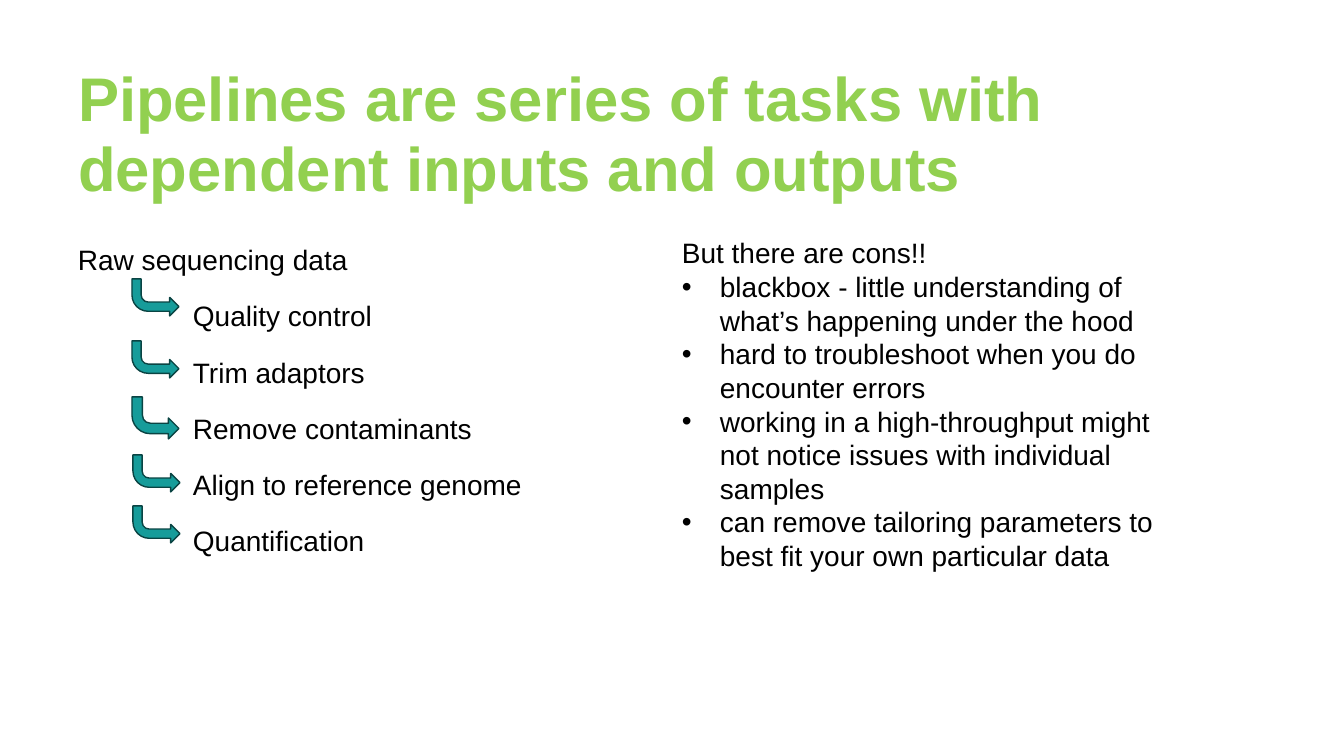
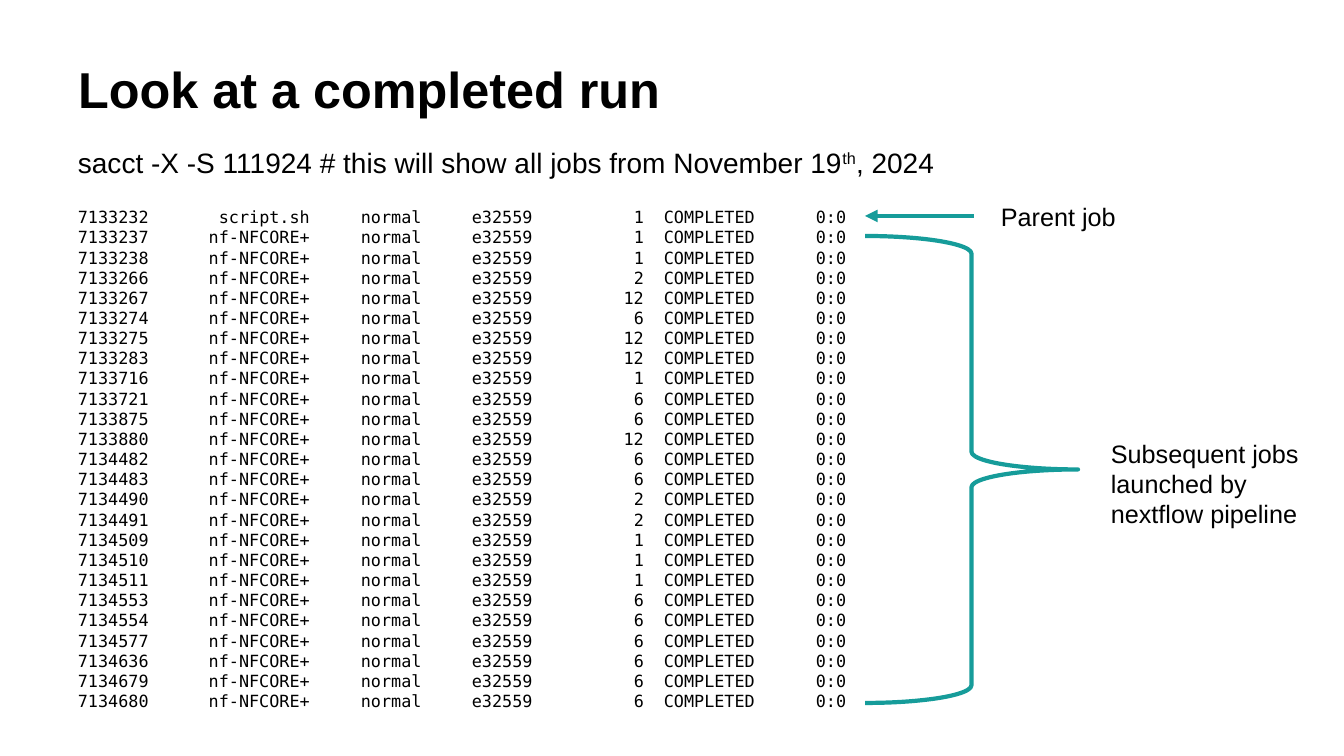
from lxml import etree
from pptx import Presentation
from pptx.dml.color import RGBColor
from pptx.enum.shapes import MSO_CONNECTOR, MSO_SHAPE
from pptx.enum.text import MSO_ANCHOR, MSO_AUTO_SIZE, PP_ALIGN
from pptx.oxml.ns import qn
from pptx.util import Emu, Pt

# Shared style
TEAL, DARK_TEAL = "169C9A", "0A4443"
GREEN, BLACK = "92D050", "000000"
SANS, MONO = "Arial", "DejaVu Sans Mono"
SLIDE_W, SLIDE_H = 1344, 756
EMU_PER_PX = 12192000 / SLIDE_W
MARGIN, CONTENT_W = 68, 1174


def px(length):
    return Emu(round(length * EMU_PER_PX))


def rgb(hex_color):
    return RGBColor.from_string(hex_color)


class Deck:
    """Holds the style and the slide being built."""

    def __init__(self):
        self.prs = Presentation()
        self.prs.slide_width, self.prs.slide_height = px(SLIDE_W), px(SLIDE_H)
        self.slide = None

    def add_slide(self, title, size, color, spacing=0.9):
        self.slide = self.prs.slides.add_slide(self.prs.slide_layouts[5])
        heading = self.slide.shapes.title
        heading.left, heading.top = px(MARGIN), px(60)
        heading.width, heading.height = px(CONTENT_W), px(125)
        frame = heading.text_frame
        frame.auto_size = MSO_AUTO_SIZE.NONE
        frame.vertical_anchor = MSO_ANCHOR.TOP
        paragraph = frame.paragraphs[0]
        paragraph.alignment = PP_ALIGN.LEFT
        paragraph.line_spacing = spacing
        self.run(paragraph, title, size, color, bold=True)

    def run(self, paragraph, text, size, color=BLACK, font=SANS, bold=False):
        run = paragraph.add_run()
        run.text = text
        run.font.name, run.font.size, run.font.bold = font, Pt(size), bold
        run.font.color.rgb = rgb(color)
        return run

    def text(self, left, top, width, height, lines, size=20, font=SANS,
             spacing=None, before=0):
        """Adds one paragraph per line and returns the paragraphs."""
        box = self.slide.shapes.add_textbox(px(left), px(top), px(width), px(height))
        frame = box.text_frame
        frame.word_wrap = True
        for index, line in enumerate(lines):
            paragraph = frame.add_paragraph() if index else frame.paragraphs[0]
            paragraph.line_spacing = spacing
            paragraph.space_before = Pt(before)
            self.run(paragraph, line, size, font=font)
        return frame.paragraphs

    def indent(self, paragraph, left, bullet=None):
        props = paragraph._p.get_or_add_pPr()
        props.set("marL", str(px(left)))
        if bullet:
            props.set("indent", str(-px(left)))
            etree.SubElement(props, qn("a:buFont"), typeface=SANS)
            etree.SubElement(props, qn("a:buChar"), char=bullet)

    def tab_stops(self, paragraph, stops):
        tabs = etree.SubElement(paragraph._p.get_or_add_pPr(), qn("a:tabLst"))
        for position, align in stops:
            etree.SubElement(tabs, qn("a:tab"), pos=str(px(position)), algn=align)

    def shape(self, kind, left, top, width, height, line, weight, fill=None):
        shape = self.slide.shapes.add_shape(
            kind, px(left), px(top), px(width), px(height))
        shape.shadow.inherit = False
        if fill:
            shape.fill.solid()
            shape.fill.fore_color.rgb = rgb(fill)
        else:
            shape.fill.background()
        shape.line.color.rgb = rgb(line)
        shape.line.width = Pt(weight)
        return shape

    def step_arrow(self, left, top, height):
        arrow = self.shape(MSO_SHAPE.BENT_ARROW, left, top, 47, height,
                           DARK_TEAL, 1, TEAL)
        arrow._element.spPr.find(qn("a:xfrm")).set("flipV", "1")

    def arrow(self, x1, y1, x2, y2):
        line = self.slide.shapes.add_connector(
            MSO_CONNECTOR.STRAIGHT, px(x1), px(y1), px(x2), px(y2))
        line.line.color.rgb = rgb(TEAL)
        line.line.width = Pt(3)
        etree.SubElement(line.line._get_or_add_ln(), qn("a:tailEnd"), type="triangle")
        etree.SubElement(line._element.spPr, qn("a:effectLst"))


# Slide 1 content
STEPS = ["Raw sequencing data", "Quality control", "Trim adaptors",
         "Remove contaminants", "Align to reference genome", "Quantification"]
STEP_ARROWS = [(132, 279, 37), (132, 341, 37), (132, 397, 42),
               (133, 455, 37), (133, 506, 37)]
CONS = ["But there are cons!!",
        "blackbox - little understanding of what’s happening under the hood",
        "hard to troubleshoot when you do encounter errors",
        "working in a high-throughput might not notice issues with individual samples",
        "can remove tailoring parameters to best fit your own particular data"]

# Slide 2 content: job number and CPU count
PARENT_JOB = 7133232
JOBS = [(PARENT_JOB, 1), (7133237, 1), (7133238, 1), (7133266, 2), (7133267, 12),
        (7133274, 6), (7133275, 12), (7133283, 12), (7133716, 1), (7133721, 6),
        (7133875, 6), (7133880, 12), (7134482, 6), (7134483, 6), (7134490, 2),
        (7134491, 2), (7134509, 1), (7134510, 1), (7134511, 1), (7134553, 6),
        (7134554, 6), (7134577, 6), (7134636, 6), (7134679, 6), (7134680, 6)]
JOB_TABS = [(232, "r"), (283, "l"), (394, "l"), (566, "r"), (586, "l"), (738, "l")]


def job_line(job, cpus):
    name = "script.sh" if job == PARENT_JOB else "nf-NFCORE+"
    return f"{job}\t{name}\tnormal\te32559\t{cpus}\tCOMPLETED\t0:0"


def build_pipeline_slide(deck):
    deck.add_slide("Pipelines are series of tasks with dependent inputs and outputs",
                   44, GREEN, spacing=0.95)
    # Steps of the pipeline
    steps = deck.text(MARGIN, 231, 580, 465, STEPS, spacing=1.2, before=11.3)
    for step in steps[1:]:
        deck.indent(step, 115)
    for left, top, height in STEP_ARROWS:
        deck.step_arrow(left, top, height)
    # Drawbacks
    cons = deck.text(672, 231, 515, 383, CONS)
    for con in cons[1:]:
        deck.indent(con, 38, "•")


def build_run_slide(deck):
    deck.add_slide("Look at a completed run", 36, BLACK)
    # Command
    command = deck.text(
        MARGIN, 137, CONTENT_W, 49,
        ["sacct -X -S 111924 # this will show all jobs from November 19"],
        spacing=1.1)[0]
    ordinal = deck.run(command, "th", 20)
    ordinal._r.get_or_add_rPr().set("baseline", "30000")
    deck.run(command, ", 2024", 20)
    # Job listing
    listing = deck.text(MARGIN, 202, 994, 519, [job_line(*job) for job in JOBS],
                        size=12, font=MONO, spacing=Pt(14.4))
    for job in listing:
        deck.tab_stops(job, JOB_TABS)
    # Explanations
    deck.arrow(974, 216, 865, 216)
    deck.text(991, 196, 140, 40, ["Parent job"], size=18)
    deck.shape(MSO_SHAPE.RIGHT_BRACE, 865, 236, 213, 467, TEAL, 3)
    deck.text(1101, 433, 226, 102,
              ["Subsequent jobs launched by nextflow pipeline"], size=18)


def main():
    deck = Deck()
    build_pipeline_slide(deck)
    build_run_slide(deck)
    deck.prs.save("out.pptx")


if __name__ == "__main__":
    main()
